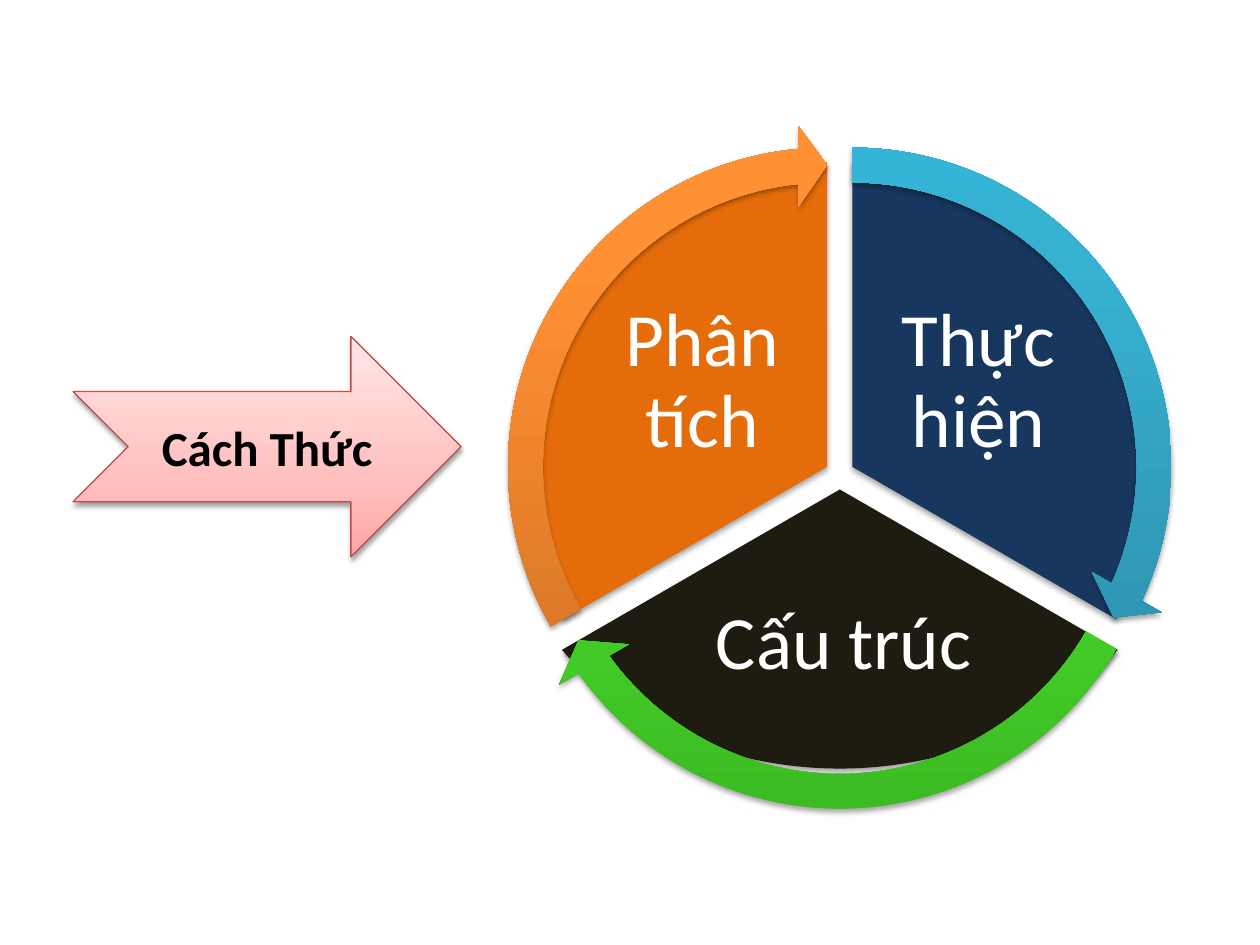
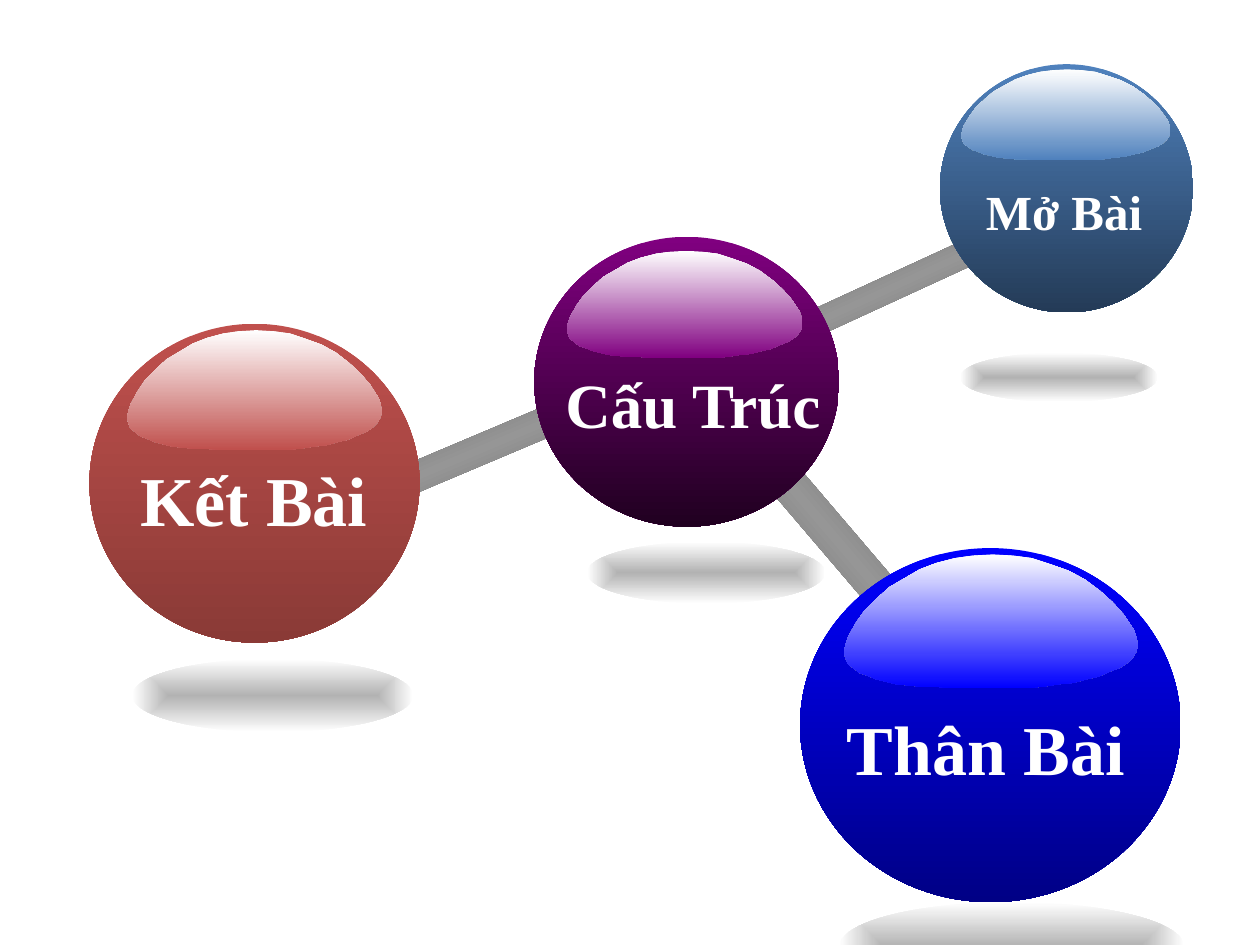
from lxml import etree
from pptx import Presentation
from pptx.dml.color import RGBColor
from pptx.enum.shapes import MSO_SHAPE
from pptx.enum.text import MSO_ANCHOR, MSO_AUTO_SIZE, PP_ALIGN
from pptx.oxml.ns import qn
from pptx.util import Pt

PX = 9144  # 100 px to the inch
BLANK_LAYOUT = 6
ARROW, PIE = MSO_SHAPE.NOTCHED_RIGHT_ARROW, MSO_SHAPE.PIE
CIRCULAR_ARROW = MSO_SHAPE.CIRCULAR_ARROW
OVAL, RECTANGLE = MSO_SHAPE.OVAL, MSO_SHAPE.RECTANGLE
MIDDLE, CENTER = MSO_ANCHOR.MIDDLE, PP_ALIGN.CENTER
GROW = MSO_AUTO_SIZE.SHAPE_TO_FIT_TEXT

WHITE = RGBColor(0xFF, 0xFF, 0xFF)
BLACK = RGBColor(0, 0, 0)
NAVY = RGBColor(0x17, 0x37, 0x5E)
DARK_OLIVE = RGBColor(0x1E, 0x1C, 0x11)
ORANGE = RGBColor(0xE4, 0x6C, 0x0A)
ARROW_EDGE = RGBColor(0xBF, 0x4C, 0x48)
SHADE = RGBColor(0xB2, 0xB2, 0xB2)
ROD_EDGE = RGBColor(0x6B, 0x6B, 0x6B)
ROD_MIDDLE = RGBColor(0x96, 0x96, 0x96)
PURPLE, PURPLE_DARK = RGBColor(0x80, 0, 0x80), RGBColor(0x20, 0, 0x20)
STEEL, STEEL_DARK = RGBColor(0x4F, 0x81, 0xBD), RGBColor(0x24, 0x3B, 0x57)
RED, RED_DARK = RGBColor(0xC0, 0x50, 0x4D), RGBColor(0x8A, 0x3A, 0x36)
BLUE, BLUE_DARK = RGBColor(0, 0, 0xFF), RGBColor(0, 0, 0x85)
PINK_STOPS = [(0, RGBColor(0xFF, 0xA6, 0xA5)), (35, RGBColor(0xFF, 0xC0, 0xBF)),
              (100, RGBColor(0xFF, 0xE7, 0xE7))]
TEAL_STOPS = [(0, RGBColor(0x2A, 0x88, 0xA2)), (80, RGBColor(0x37, 0xB1, 0xD2)),
              (100, RGBColor(0x34, 0xB4, 0xD6))]
GREEN_STOPS = [(0, RGBColor(0x3C, 0xB9, 0x23)), (80, RGBColor(0x4E, 0xF0, 0x2E)),
               (100, RGBColor(0x4C, 0xF5, 0x2A))]
ORANGE_STOPS = [(0, RGBColor(0xCC, 0x6E, 0x20)), (80, RGBColor(0xFF, 0x90, 0x34)),
                (100, RGBColor(0xFF, 0x91, 0x36))]


def paint(shape, fill, angle=None, shadow_alpha=0):
    """Fill with a colour or with gradient stops (radial without an angle)."""
    shape.shadow.inherit = False
    shape.line.fill.background()
    shape.fill.solid()
    properties = shape._element.spPr
    if isinstance(fill, RGBColor):
        shape.fill.fore_color.rgb = fill
    else:
        gradient = etree.Element(qn("a:gradFill"), rotWithShape="1")
        stops = etree.SubElement(gradient, qn("a:gsLst"))
        for position, colour in fill:
            stop = etree.SubElement(stops, qn("a:gs"), pos=str(position * 1000))
            etree.SubElement(stop, qn("a:srgbClr"), val=str(colour))
        if angle is None:
            radial = etree.SubElement(gradient, qn("a:path"), path="shape")
            etree.SubElement(radial, qn("a:fillToRect"),
                             {side: "50000" for side in "ltrb"})
        else:
            etree.SubElement(gradient, qn("a:lin"), ang=str(angle * 60000), scaled="0")
        properties.replace(properties.find(qn("a:solidFill")), gradient)
    if shadow_alpha:
        shadow = etree.SubElement(properties.find(qn("a:effectLst")), qn("a:outerShdw"),
                                  blurRad=str(Pt(3.1)), dist=str(Pt(1.8)),
                                  dir="5400000", rotWithShape="0")
        colour = etree.SubElement(shadow, qn("a:srgbClr"), val="000000")
        etree.SubElement(colour, qn("a:alpha"), val=str(shadow_alpha * 1000))


def write(shape, text, font, size, colour, bold=False):
    shape.text_frame.text = text
    paragraph = shape.text_frame.paragraphs[0]
    paragraph.alignment = CENTER
    style = paragraph.runs[0].font
    style.name, style.size, style.bold = font, Pt(size), bold
    style.color.rgb = colour


deck = Presentation()
deck.slide_width, deck.slide_height = 1000 * PX, 750 * PX

# Slide 1: method arrow
slide = deck.slides.add_slide(deck.slide_layouts[BLANK_LAYOUT])
method = slide.shapes.add_shape(ARROW, 58 * PX, 267 * PX, 308 * PX, 175 * PX)
paint(method, PINK_STOPS, 270, 38)
method.line.color.rgb = ARROW_EDGE
method.line.width = Pt(0.75)
method.text_frame.vertical_anchor = MIDDLE
write(method, "Cách Thức", "Calibri", 28, BLACK, True)

# Cycle sectors with their labels; angles are in units of 100000
sectors = [
    ("Thực hiện", NAVY, (435, 129, 483, 483), (162, 18), (690, 232, 173, 144)),
    ("Cấu trúc", DARK_OLIVE, (397, 167, 539, 443), (18, 90), (525, 454, 289, 116)),
    ("Phân tích", ORANGE, (415, 129, 483, 483), (90, 162), (471, 232, 173, 144)),
]
for text, colour, box, angles, label_box in sectors:
    sector = slide.shapes.add_shape(PIE, *[v * PX for v in box])
    sector.adjustments[0], sector.adjustments[1] = angles
    paint(sector, colour, shadow_alpha=35)
    label = slide.shapes.add_textbox(*[v * PX for v in label_box])
    frame = label.text_frame
    frame.word_wrap = True
    frame.vertical_anchor = MIDDLE
    frame.margin_left = frame.margin_right = 6 * PX
    frame.margin_top = frame.margin_bottom = 6 * PX
    write(label, text, "Calibri", 43, WHITE)
    frame.paragraphs[0].line_spacing = 0.9

# Arrows around the cycle
for left, top, end, start, stops in [
    (405, 99, 14.725, 161.994, TEAL_STOPS),
    (395, 117, 86.72, 18.005, GREEN_STOPS),
    (385, 99, 158.73, 90, ORANGE_STOPS),
]:
    turn = slide.shapes.add_shape(CIRCULAR_ARROW, left * PX, top * PX, 543 * PX, 543 * PX)
    for i, value in enumerate((0.051, 3.275, end, start, 0.059)):
        turn.adjustments[i] = value
    paint(turn, stops, 270, 35)

# Slide 2: floor shades under the spheres
slide = deck.slides.add_slide(deck.slide_layouts[BLANK_LAYOUT])
for box in [(762, 280, 157, 39), (466, 430, 189, 49),
            (666, 716, 274, 71), (105, 523, 223, 58)]:
    shade = slide.shapes.add_shape(OVAL, *[v * PX for v in box])
    paint(shade, [(0, SHADE), (100, WHITE)])

# Rods
for box, rotation in [((596, 414, 136, 29), 229.5), ((298, 348, 152, 24), 337.1),
                      ((643, 216, 138, 21), 335.3)]:
    rod = slide.shapes.add_shape(RECTANGLE, *[v * PX for v in box])
    rod.rotation = rotation
    paint(rod, [(0, ROD_EDGE), (50, ROD_MIDDLE), (100, ROD_EDGE)], 90)

# Spheres, each with a gloss scaled from one outline
GLOSS_WIDTH, GLOSS_HEIGHT = 233, 106
GLOSS = [
    (230, 60), (232, 66), (233, 72), (232, 77), (229, 82), (225, 86), (219, 90),
    (211, 93), (202, 97), (193, 99), (182, 102), (171, 103), (158, 105), (145, 106),
    (84, 106), (72, 105), (61, 105), (51, 104), (41, 103), (33, 101), (25, 99),
    (18, 96), (12, 94), (7, 90), (3, 87), (1, 82), (0, 78), (1, 72), (3, 66),
    (9, 55), (16, 45), (26, 35), (36, 26), (48, 19), (60, 12), (73, 7), (88, 3),
    (102, 1), (118, 0), (134, 1), (149, 3), (164, 8), (178, 13), (191, 20),
    (203, 29), (213, 38), (222, 48),
]
spheres = [
    ("Cấu Trúc", 36, PURPLE, PURPLE_DARK, (424, 188, 242, 230),
     (450, 199, 187, 85), (438, 285, 224, 71)),
    ("Mở Bài", 28, STEEL, STEEL_DARK, (746, 51, 201, 197),
     (763, 55, 166, 72), (772, 139, 145, 57)),
    ("Kết Bài", 40, RED, RED_DARK, (71, 257, 262, 253),
     (101, 262, 202, 95), (100, 357, 203, 78)),
    ("Thân Bài", 40, BLUE, BLUE_DARK, (635, 435, 302, 281),
     (670, 440, 233, 106), (661, 555, 243, 78)),
]
for text, size, colour, dark, box, gloss_box, label_box in spheres:
    sphere = slide.shapes.add_shape(OVAL, *[v * PX for v in box])
    paint(sphere, [(0, colour), (100, dark)], 90)

    left, top, width, height = [v * PX for v in gloss_box]
    outline = slide.shapes.build_freeform(
        *GLOSS[0], scale=(width / GLOSS_WIDTH, height / GLOSS_HEIGHT))
    outline.add_line_segments(GLOSS[1:], close=True)
    paint(outline.convert_to_shape(left, top), [(0, WHITE), (100, colour)], 90)

    label = slide.shapes.add_textbox(*[v * PX for v in label_box])
    label.text_frame.word_wrap = False
    label.text_frame.auto_size = GROW
    write(label, text, "Times New Roman", size, WHITE, True)

deck.save("out.pptx")
